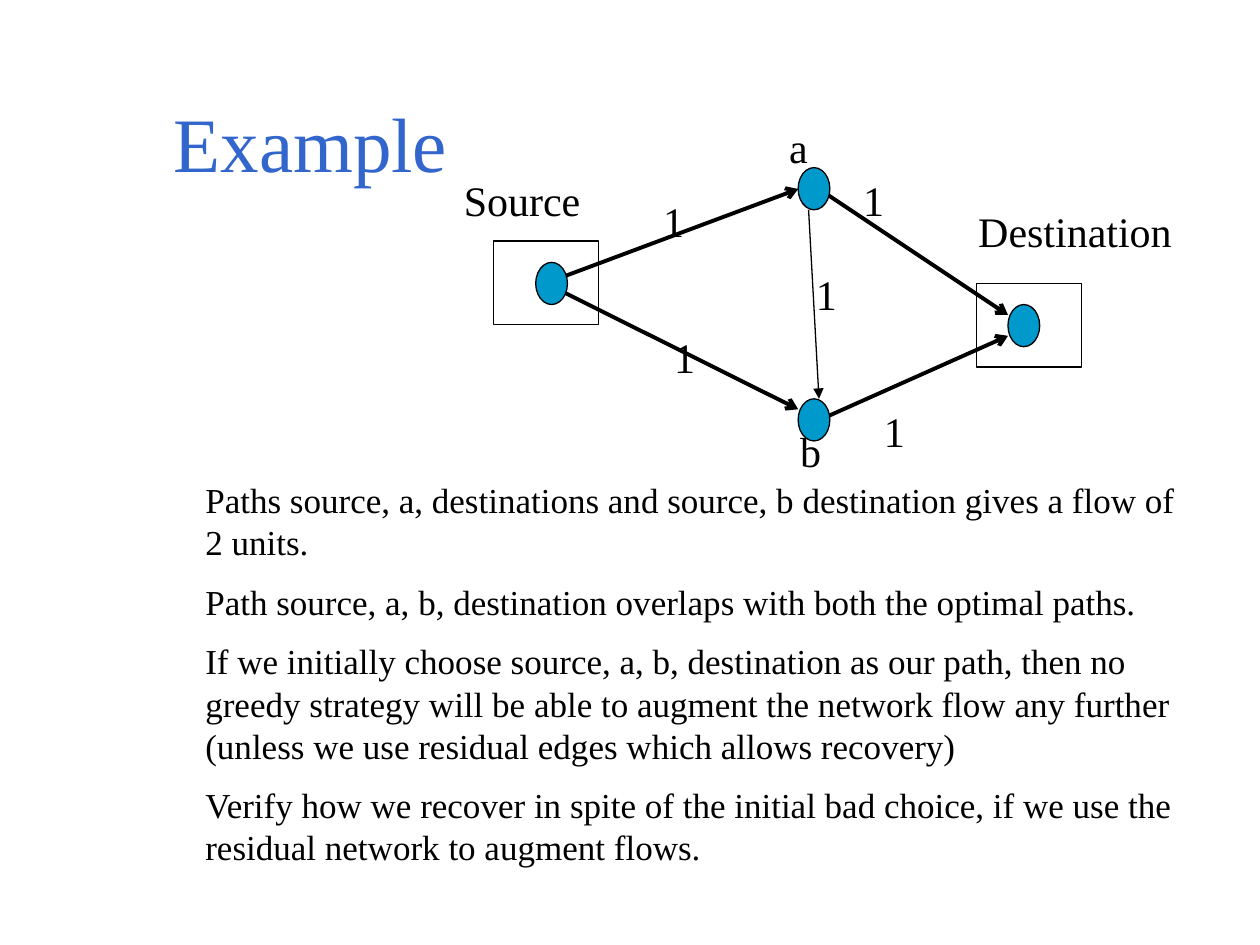
from lxml.etree import SubElement
from pptx import Presentation
from pptx.dml.color import RGBColor
from pptx.enum.shapes import MSO_CONNECTOR, MSO_SHAPE
from pptx.enum.text import MSO_ANCHOR
from pptx.oxml.ns import qn
from pptx.util import Cm, Pt

FONT = "Times New Roman"
BLACK, BLUE, TEAL = "000000", "3366CC", "0099CC"
NOTES = [
    "Paths source, a, destinations and source, b destination gives a flow of 2 units.",
    "Path source, a, b, destination overlaps with both the optimal paths.",
    "If we initially choose source, a, b, destination as our path, then no greedy "
    "strategy will be able to augment the network flow any further (unless we use "
    "residual edges which allows recovery)",
    "Verify how we recover in spite of the initial bad choice, if we use the "
    "residual network to augment flows.",
]


def color(code):
    return RGBColor.from_string(code)


def add_text(slide, lines, left, top, width, height, size=24, ink=BLACK):
    box = slide.shapes.add_textbox(Cm(left), Cm(top), Cm(width), Cm(height))
    frame = box.text_frame
    frame.word_wrap = True
    frame.text = "\n".join(lines)
    for i, para in enumerate(frame.paragraphs):
        para.space_before = Pt(size / 2 if i else 0)
        font = para.runs[0].font
        font.name, font.size = FONT, Pt(size)
        font.color.rgb = color(ink)
    return frame


def add_mark(slide, kind, left, top, width, height, fill=None):
    mark = slide.shapes.add_shape(kind, Cm(left), Cm(top), Cm(width), Cm(height))
    mark.shadow.inherit = False
    if fill:
        mark.fill.solid()
        mark.fill.fore_color.rgb = color(fill)
    else:
        mark.fill.background()
    mark.line.color.rgb = color(BLACK)
    mark.line.width = Pt(0.75)


def add_edge(slide, start, end, width=2.25, head="arrow"):
    ends = [Cm(v) for v in (*start, *end)]
    edge = slide.shapes.add_connector(MSO_CONNECTOR.STRAIGHT, *ends)
    edge.line.color.rgb = color(BLACK)
    edge.line.width = Pt(width)
    SubElement(edge.line._get_or_add_ln(), qn("a:tailEnd"), type=head)
    SubElement(edge._element.spPr, qn("a:effectLst"))


def main():
    deck = Presentation()
    deck.slide_width, deck.slide_height = Cm(25.4), Cm(19.05)
    slide = deck.slides.add_slide(deck.slide_layouts[6])

    # Title
    title = add_text(slide, ["Example"], 3.25, 1.27, 21.59, 3.18, 44, BLUE)
    title.vertical_anchor = MSO_ANCHOR.MIDDLE

    # Frames around source and destination
    for left, top in [(9.95, 4.86), (19.69, 5.71)]:
        add_mark(slide, MSO_SHAPE.RECTANGLE, left, top, 2.12, 1.69)

    # Edges of the two optimal paths
    for start, end in [
        ((11, 5.71), (16.09, 3.81)),
        ((11, 5.71), (16.09, 8.25)),
        ((16.51, 3.81), (20.32, 6.35)),
        ((16.51, 8.47), (20.32, 6.77)),
    ]:
        add_edge(slide, start, end)

    # Nodes: source, a, destination, b
    for left, top in [(10.8, 5.29), (16.09, 3.38), (20.32, 6.14), (16.09, 8.04)]:
        add_mark(slide, MSO_SHAPE.OVAL, left, top, 0.64, 0.85, TEAL)

    # Edge from a to b
    add_edge(slide, (16.3, 4.23), (16.51, 8.04), 0.75, "triangle")

    # Names and capacities
    for label, left, top, width in [
        ("Source", 9.1, 3.39, 5.29),
        ("Destination", 19.47, 4.02, 5.29),
        ("1", 13.12, 3.81, 4.02),
        ("1", 17.15, 3.39, 4.02),
        ("1", 13.34, 6.56, 4.02),
        ("1", 17.57, 8.04, 4.02),
        ("1", 16.2, 5.29, 4.02),
        ("a", 15.66, 2.32, 1.27),
        ("b", 15.88, 8.46, 1.27),
    ]:
        add_text(slide, [label], left, top, width, 1.27)

    # Explanation
    add_text(slide, NOTES, 3.89, 9.53, 20.32, 8.31, 20)

    deck.save("out.pptx")


if __name__ == "__main__":
    main()
